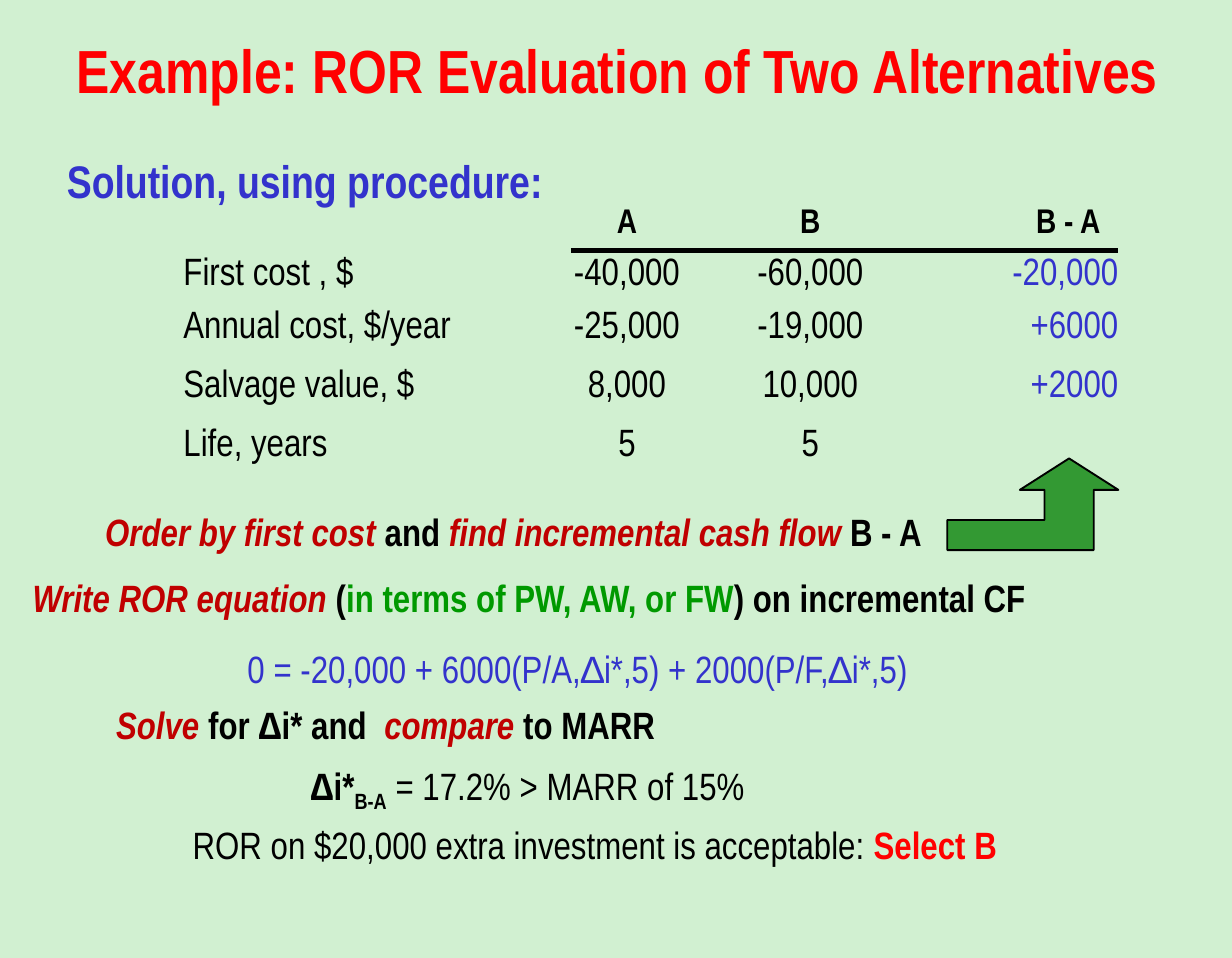
import pptx
import pptx.util
import pptx.dml.color
import pptx.enum.shapes
import pptx.enum.text
import pptx.oxml.ns
from dataclasses import dataclass
from lxml import etree

Inches = pptx.util.Inches
Pt = pptx.util.Pt
ALIGN = pptx.enum.text.PP_ALIGN
MIDDLE = pptx.enum.text.MSO_ANCHOR.MIDDLE
FONT = "Arial Narrow"
NO_STYLE = "{2D5ABB26-0587-4C30-8999-92F81FD0307C}"
HUES = {
    "back": "D1F0D1", "black": "000000", "red": "FF0000", "dark": "C00000",
    "blue": "3333CC", "green": "009900", "arrow": "339933",
}


@dataclass
class Run:
    text: str
    hue: str = "black"
    bold: bool = False
    slant: bool = False
    base: int = 0


@dataclass
class Note:
    left: float
    top: float
    width: float
    runs: list
    size: int = 20


def key(text: str) -> Run:
    return Run(text, "dark", True, True)


def strong(text: str, hue: str = "black", base: int = 0) -> Run:
    return Run(text, hue, True, base=base)


def color(name: str) -> pptx.dml.color.RGBColor:
    return pptx.dml.color.RGBColor.from_string(HUES[name])


def write(frame, runs: list, *, size: int = 20, align=ALIGN.LEFT, anchor=None) -> None:
    frame.word_wrap = True
    if anchor is not None:
        frame.vertical_anchor = anchor
    para = frame.paragraphs[0]
    para.alignment = align
    for item in runs:
        run = para.add_run()
        run.text = item.text
        font = run.font
        font.name, font.size = FONT, Pt(size)
        font.bold, font.italic = item.bold, item.slant
        font.color.rgb = color(item.hue)
        if item.base:
            font._element.set("baseline", str(item.base))


def place(shape, left: float, top: float, width: float, height: float) -> None:
    shape.left, shape.top = Inches(left), Inches(top)
    shape.width, shape.height = Inches(width), Inches(height)


def draw_note(slide, note: Note) -> None:
    box = slide.shapes.add_textbox(
        Inches(note.left), Inches(note.top), Inches(note.width), Inches(0.44))
    write(box.text_frame, note.runs, size=note.size)


def draw_costs(slide) -> None:
    rows = [
        ("", "A", "B", "B - A"),
        ("First cost , $", "-40,000", "-60,000", "-20,000"),
        ("Annual cost, $/year", "-25,000", "-19,000", "+6000"),
        ("Salvage value, $", "8,000", "10,000", "+2000"),
        ("Life, years", "5", "5", ""),
    ]
    widths = [2.67, 1.34, 1.34, 1.58]
    heights = [0.38, 0.37, 0.41, 0.45, 0.41]
    sides = [ALIGN.LEFT, ALIGN.CENTER, ALIGN.CENTER, ALIGN.RIGHT]
    frame = slide.shapes.add_table(
        len(rows), len(widths), Inches(1.24), Inches(1.45),
        Inches(sum(widths)), Inches(sum(heights)))
    table = frame.table
    table.first_row = table.horz_banding = False
    table._tbl.tblPr.find(pptx.oxml.ns.qn("a:tableStyleId")).text = NO_STYLE
    for col, width in zip(table.columns, widths):
        col.width = Inches(width)
    for y, (row, height) in enumerate(zip(rows, heights)):
        table.rows[y].height = Inches(height)
        for x, text in enumerate(row):
            cell = table.cell(y, x)
            cell.fill.background()
            cell.vertical_anchor = MIDDLE
            cell.margin_top = cell.margin_bottom = 0
            cell.margin_left = Inches(0.1 if x == 0 else 0)
            cell.margin_right = Inches(0.13 if (y, x) == (0, 3) else 0)
            hue = "blue" if y and x == 3 else "black"
            write(cell.text_frame, [Run(text, hue, y == 0)],
                  size=20 if y else 18, align=sides[x])


def draw_rule(slide) -> None:
    rule = slide.shapes.add_connector(
        pptx.enum.shapes.MSO_CONNECTOR.STRAIGHT,
        Inches(4.17), Inches(1.83), Inches(8.17), Inches(1.83))
    rule.line.width = Pt(3)
    rule.line.color.rgb = color("black")
    etree.SubElement(rule._element.spPr, pptx.oxml.ns.qn("a:effectLst"))


def draw_arrow(slide) -> None:
    dots = [(7.81, 3.35), (7.45, 3.58), (7.63, 3.58), (7.63, 3.8), (6.92, 3.8),
            (6.92, 4.02), (7.99, 4.02), (7.99, 3.58), (8.17, 3.58)]
    ends = [(Inches(x), Inches(y)) for x, y in dots]
    path = slide.shapes.build_freeform(*ends[0])
    path.add_line_segments(ends[1:], close=True)
    arrow = path.convert_to_shape()
    arrow.shadow.inherit = False
    arrow.fill.solid()
    arrow.fill.fore_color.rgb = color("arrow")
    arrow.line.color.rgb = color("black")
    arrow.line.width = Pt(1)


NOTES = [
    Note(0.39, 1.07, 3.9, [strong("Solution, using procedure:", "blue")], 24),
    Note(0.67, 3.67, 6.25, [
        key("Order by first cost "), strong("and "),
        key("find incremental cash flow"), strong(" B - A")]),
    Note(0.14, 4.15, 8.14, [
        key("Write ROR equation "), strong("("),
        strong("in terms of PW, AW, or FW", "green"),
        strong(") on incremental CF")]),
    Note(1.71, 4.67, 5.3, [
        Run("0 = -20,000 + 6000(P/A,∆i*,5) + 2000(P/F,∆i*,5)", "blue")]),
    Note(0.75, 5.08, 4.5, [
        key("Solve"), strong(" for ∆i* and  "), key("compare "),
        strong("to MARR")]),
    Note(2.17, 5.52, 3.8, [
        strong("∆i*"), strong("B-A", base=-25000),
        Run(" = 17.2% > MARR of 15%")]),
    Note(1.31, 5.95, 6.4, [
        Run("ROR on $20,000 extra investment is acceptable: "),
        strong("Select B", "red")]),
]

deck = pptx.Presentation()
deck.slide_width, deck.slide_height = Inches(9), Inches(7)
slide = deck.slides.add_slide(deck.slide_layouts[5])
slide.background.fill.solid()
slide.background.fill.fore_color.rgb = color("back")
title = slide.shapes.title
place(title, 0.14, 0.13, 8.75, 0.75)
write(title.text_frame,
      [strong("Example: ROR Evaluation of Two Alternatives", "red")],
      size=32, align=ALIGN.CENTER, anchor=MIDDLE)
draw_costs(slide)
draw_rule(slide)
draw_arrow(slide)
for note in NOTES:
    draw_note(slide, note)
deck.save("out.pptx")
